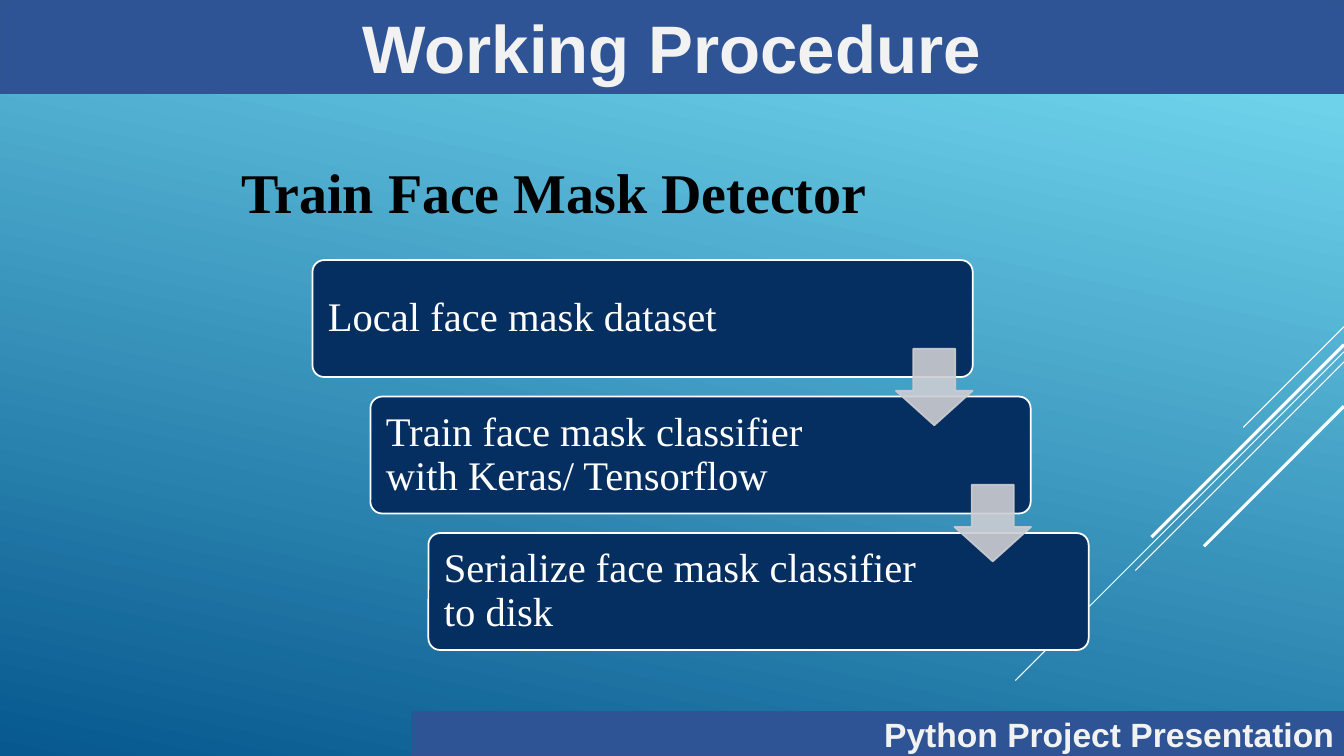
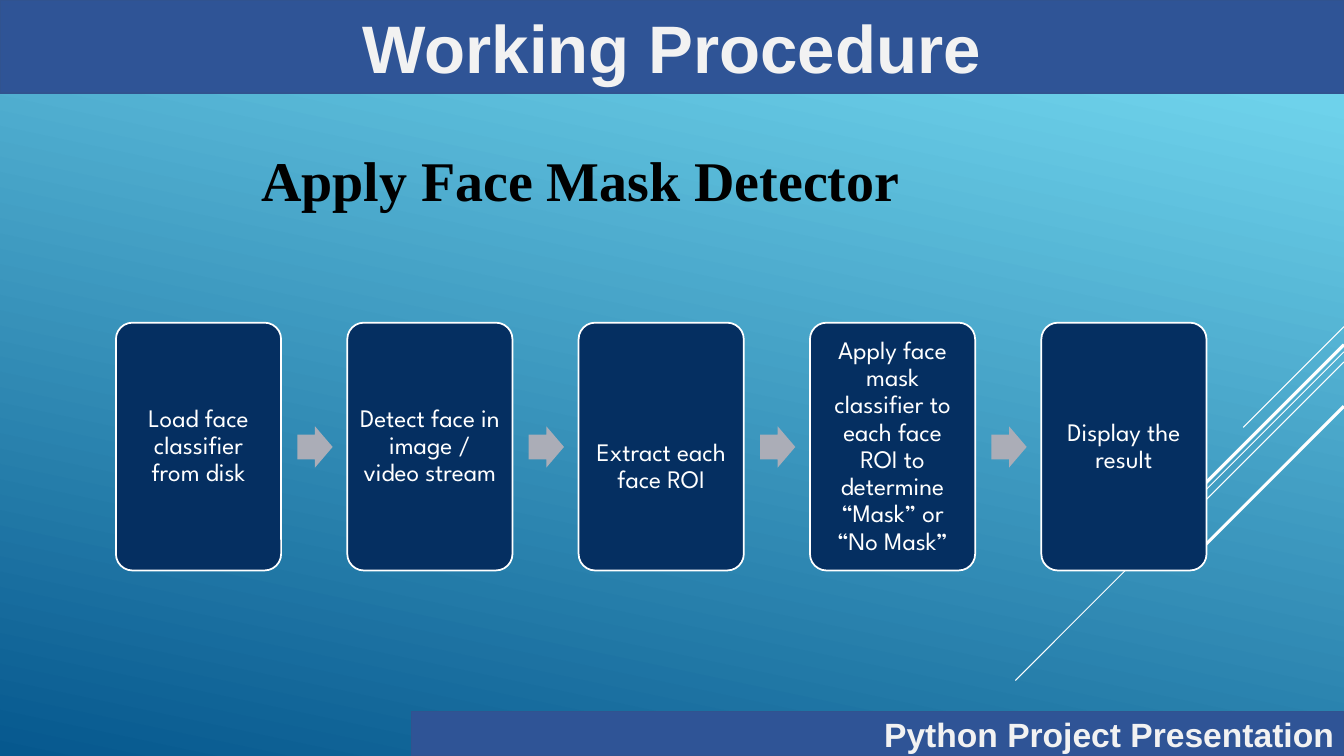
from lxml import etree
from pptx import Presentation
from pptx.dml.color import RGBColor
from pptx.enum import shapes as sh, text as tx
from pptx.oxml import ns
from pptx.util import Pt

COLORS = {
    "sky": "6ED2EB", "deep": "06588E", "band": "2F5496", "band_edge": "31538F",
    "band_text": "F2F2F2", "navy": "052F61", "white": "FFFFFF", "black": "000000",
    "down_arrow": "CCCDD2", "right_arrow": "ABADB7",
}
RGB = {name: RGBColor.from_string(value) for name, value in COLORS.items()}
KIND = sh.MSO_SHAPE
LEFT, CENTER, RIGHT = tx.PP_ALIGN.LEFT, tx.PP_ALIGN.CENTER, tx.PP_ALIGN.RIGHT


def add_block(slide, kind, box, fill, edge=None, width=1, adjust=()):
    block = slide.shapes.add_shape(kind, *[Pt(v) for v in box])
    block.shadow.inherit = False
    block.fill.solid()
    block.fill.fore_color.rgb = RGB[fill]
    if edge:
        block.line.color.rgb = RGB[edge]
        block.line.width = Pt(width)
    else:
        block.line.fill.background()
    for i, value in enumerate(adjust):
        block.adjustments[i] = value
    return block


def write(block, wording, size, font, color, align=CENTER, bold=False, spacing=1.0,
          margins=(7.2, 3.6, 7.2, 3.6)):
    frame = block.text_frame
    frame.word_wrap = True
    frame.vertical_anchor = tx.MSO_ANCHOR.MIDDLE
    frame.margin_left, frame.margin_top, frame.margin_right, frame.margin_bottom = [
        Pt(m) for m in margins]
    paragraph = frame.paragraphs[0]
    paragraph.alignment = align
    paragraph.line_spacing = spacing
    for i, line in enumerate(wording.split("\n")):
        if i:
            paragraph.add_line_break()
        run = paragraph.add_run()
        run.text = line
        run.font.size, run.font.name, run.font.bold = Pt(size), font, bold
        run.font.color.rgb = RGB[color]


deck = Presentation()
deck.slide_width, deck.slide_height = Pt(960), Pt(540)

RAYS = [(233.3, 72, 0.75), (251.3, 234.7, 0.75), (258.5, 149, 0.75),
        (246.2, 137.5, 2.25), (290.2, 100, 2.25)]
HEADINGS = [("Train Face Mask Detector", 66.2, 108.7),
            ("Apply Face Mask Detector", 85, 100.1)]

slides = []
for heading, heading_left, heading_top in HEADINGS:
    slide = deck.slides.add_slide(deck.slide_layouts[6])
    slides.append(slide)
    backdrop = slide.background.fill
    backdrop.gradient()
    backdrop.gradient_angle = 258
    for stop, position, color in zip(backdrop.gradient_stops, (0.1, 1), ("sky", "deep")):
        stop.position = position
        stop.color.rgb = RGB[color]

    for top, reach, width in RAYS:
        ray = slide.shapes.add_connector(
            sh.MSO_CONNECTOR.STRAIGHT, Pt(960), Pt(top), Pt(960 - reach), Pt(top + reach))
        ray.line.color.rgb = RGB["white"]
        ray.line.width = Pt(width)
        etree.SubElement(ray.element.spPr, ns.qn("a:effectLst"))

    footer = add_block(slide, KIND.RECTANGLE, (294, 508.3, 666, 31.7), "band", "band_edge")
    write(footer, "Python Project Presentation", 24, "Arial", "band_text", RIGHT, True)
    title = add_block(slide, KIND.RECTANGLE, (0, 0, 960, 66.5), "band", "band_edge")
    write(title, "Working Procedure", 48, "Arial", "band_text", CENTER, True)
    subtitle = slide.shapes.add_textbox(Pt(heading_left), Pt(heading_top), Pt(659), Pt(55.4))
    write(subtitle, heading, 40, "Times New Roman", "black", CENTER, True)

training, applying = slides

TRAIN_STEPS = ["Local face mask dataset",
               "Train face mask classifier with Keras/ Tensorflow",
               "Serialize face mask classifier to disk"]
STEP_W, STEP_H, ARROW = 471.6, 83.5, 54.7
for i, wording in enumerate(TRAIN_STEPS):
    step = add_block(training, KIND.ROUNDED_RECTANGLE,
                     (223.2 + 41.4 * i, 185.8 + 97.5 * i, STEP_W, STEP_H),
                     "navy", "white", 1.25, [0.1])
    write(step, wording, 29, "Times New Roman", "white", LEFT, spacing=0.9,
          margins=(8.6, 8.6, 120, 8.6))
for i in range(len(TRAIN_STEPS) - 1):
    arrow = add_block(training, KIND.DOWN_ARROW,
                      (640 + 41.8 * i, 249.1 + 97.2 * i, ARROW, ARROW),
                      "down_arrow", "down_arrow", 1.25, [0.55, 0.45])
    for color in arrow.element.spPr.iter(ns.qn("a:srgbClr")):
        etree.SubElement(color, ns.qn("a:alpha"), val="90000")

APPLY_STEPS = [("Load face classifier from disk", 5),
               ("Detect face in image / video stream", 5),
               ("Extract each face ROI", 33.6),
               ("Apply face mask classifier to each face\nROI to determine “Mask” or “No Mask”", 5),
               ("Display the result", 5)]
for i, (wording, top_margin) in enumerate(APPLY_STEPS):
    left = 82.8 + 165.25 * i
    card = add_block(applying, KIND.ROUNDED_RECTANGLE, (left, 230.5, 118, 177),
                     "navy", "white", 1.25, [0.1])
    write(card, wording, 18, "League Spartan", "white", spacing=0.9,
          margins=(5, top_margin, 5, 5))
    if i < len(APPLY_STEPS) - 1:
        add_block(applying, KIND.RIGHT_ARROW, (left + 129.6, 304.5, 25.2, 29.5),
                  "right_arrow", adjust=[0.6, 0.5])

deck.save("out.pptx")
